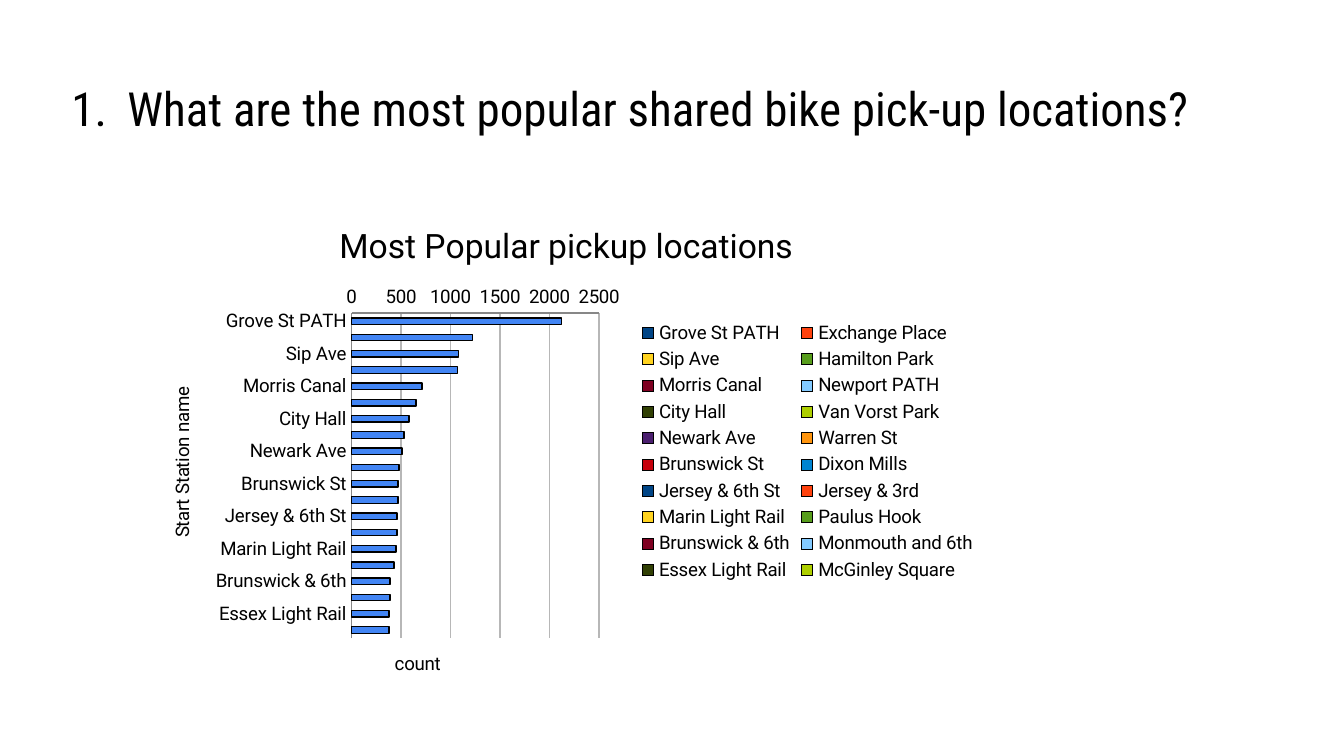
from lxml.etree import SubElement
from pptx import Presentation
from pptx.chart.data import CategoryChartData
from pptx.dml.color import RGBColor
from pptx.enum.chart import XL_AXIS_CROSSES as Crosses
from pptx.enum.chart import XL_CHART_TYPE as ChartType
from pptx.enum.chart import XL_LEGEND_POSITION as LegendPosition
from pptx.enum.chart import XL_TICK_MARK as TickMark
from pptx.enum.text import MSO_ANCHOR as Anchor
from pptx.enum.text import MSO_AUTO_SIZE as AutoSize
from pptx.enum.text import PP_ALIGN as Align
from pptx.oxml.ns import qn
from pptx.util import Emu, Pt

COLORS = {"text": "000000", "bar": "4285F4", "grid": "B7B7B7", "background": "FFFFFF"}
TITLE_FONT = "Roboto Condensed"
CHART_FONT = "Roboto"
PICKUPS = {
    "Grove St PATH": 2120,
    "Exchange Place": 1220,
    "Sip Ave": 1080,
    "Hamilton Park": 1070,
    "Morris Canal": 710,
    "Newport PATH": 650,
    "City Hall": 580,
    "Van Vorst Park": 530,
    "Newark Ave": 510,
    "Warren St": 480,
    "Brunswick St": 470,
    "Dixon Mills": 470,
    "Jersey & 6th St": 460,
    "Jersey & 3rd": 460,
    "Marin Light Rail": 450,
    "Paulus Hook": 430,
    "Brunswick & 6th": 390,
    "Monmouth and 6th": 390,
    "Essex Light Rail": 380,
    "McGinley Square": 380,
}


def px(length):
    return Emu(length * 9525)


def color(name):
    return RGBColor.from_string(COLORS[name])


def style_font(font, size, name=CHART_FONT):
    font.name = name
    font.size = Pt(size)
    font.bold = False
    font.color.rgb = color("text")


def add_run(paragraph, text, size, name=CHART_FONT):
    run = paragraph.add_run()
    run.text = text
    style_font(run.font, size, name)


def number_paragraph(paragraph, margin, hanging):
    properties = paragraph._p.get_or_add_pPr()
    properties.set("marL", str(px(margin)))
    properties.set("indent", str(-px(hanging)))
    bullet_color = SubElement(properties, qn("a:buClr"))
    SubElement(bullet_color, qn("a:srgbClr"), val=COLORS["text"])
    SubElement(properties, qn("a:buFont"), typeface=TITLE_FONT)
    SubElement(properties, qn("a:buAutoNum"), type="arabicPeriod")


def place_title(slide, left, top, width, height):
    title = slide.shapes.title
    title.left, title.top, title.width, title.height = map(px, (left, top, width, height))
    frame = title.text_frame
    frame.word_wrap = True
    frame.auto_size = AutoSize.NONE
    frame.vertical_anchor = Anchor.TOP
    frame.margin_left = frame.margin_right = px(10)
    frame.margin_top = frame.margin_bottom = px(10)
    paragraph = frame.paragraphs[0]
    paragraph.alignment = Align.LEFT
    paragraph.line_spacing = 1.0
    paragraph.space_before = Pt(0)
    number_paragraph(paragraph, 48, 40)
    add_run(paragraph, "What are the most popular shared bike pick-up locations?", 25.2, TITLE_FONT)


def style_axis(axis, title):
    axis.major_tick_mark = axis.minor_tick_mark = TickMark.NONE
    style_font(axis.tick_labels.font, 10)
    add_run(axis.axis_title.text_frame.paragraphs[0], title, 10)


def add_pickup_chart(slide, left, top, width, height):
    data = CategoryChartData()
    data.categories = list(PICKUPS)
    data.add_series("count", list(PICKUPS.values()))
    box = map(px, (left, top, width, height))
    chart = slide.shapes.add_chart(ChartType.BAR_CLUSTERED, *box, data).chart
    style_font(chart.font, 10, "Arial")
    add_run(chart.chart_title.text_frame.paragraphs[0], "Most Popular pickup locations", 18)
    chart.chart_title.include_in_layout = False

    plot = chart.plots[0]
    plot.gap_width = 150
    plot.vary_by_categories = True
    bars = plot.series[0].format
    bars.fill.solid()
    bars.fill.fore_color.rgb = color("bar")
    bars.line.color.rgb = color("text")
    bars.line.width = Pt(0.75)

    stations, counts = chart.category_axis, chart.value_axis
    style_axis(stations, "Start Station name")
    stations.reverse_order = True
    stations.crosses = Crosses.MAXIMUM
    style_axis(counts, "count")
    counts.has_major_gridlines = True
    grid = counts.major_gridlines.format.line
    grid.color.rgb = color("grid")
    grid.width = Pt(0.75)

    chart.has_legend = True
    chart.legend.position = LegendPosition.RIGHT
    chart.legend.include_in_layout = False
    style_font(chart.legend.font, 10)


def main():
    presentation = Presentation()
    presentation.slide_width, presentation.slide_height = px(960), px(540)
    slide = presentation.slides.add_slide(presentation.slide_layouts[5])
    slide.background.fill.solid()
    slide.background.fill.fore_color.rgb = color("background")
    place_title(slide, 33, 47, 895, 60)
    add_pickup_chart(slide, 102, 143, 605, 359)
    presentation.save("out.pptx")


if __name__ == "__main__":
    main()
